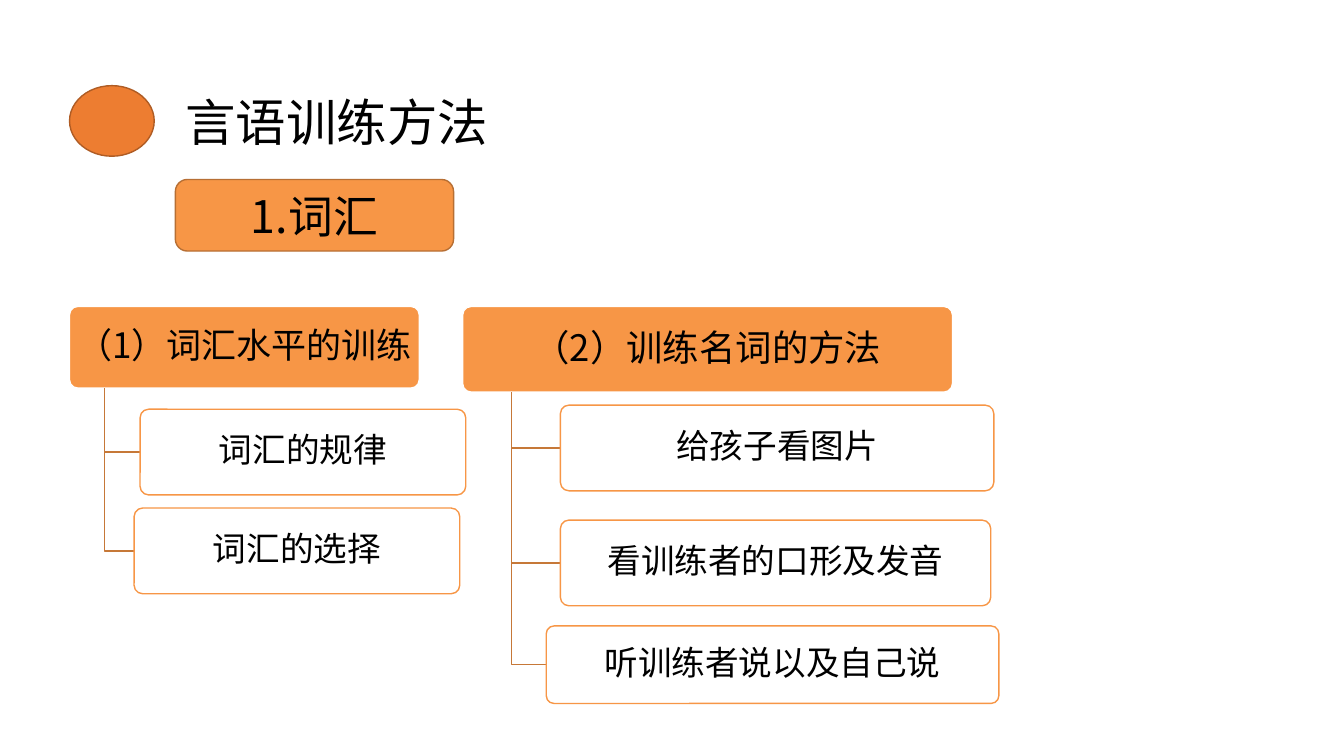
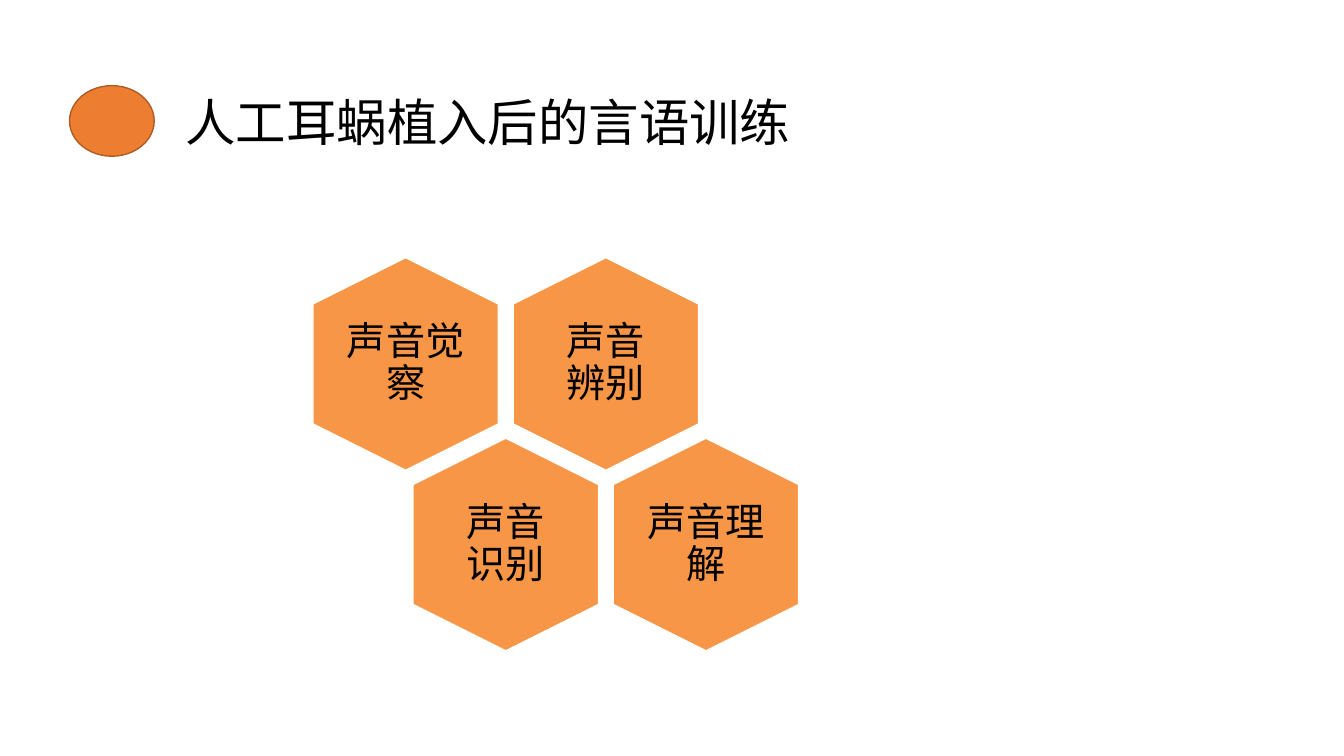
from lxml import etree
from pptx import Presentation
from pptx.dml.color import RGBColor
from pptx.enum.shapes import MSO_SHAPE
from pptx.enum.text import MSO_ANCHOR, MSO_AUTO_SIZE, PP_ALIGN
from pptx.oxml.ns import qn
from pptx.util import Pt

OVAL, ROUNDED, HEXAGON = MSO_SHAPE.OVAL, MSO_SHAPE.ROUNDED_RECTANGLE, MSO_SHAPE.HEXAGON
LEFT, CENTER = PP_ALIGN.LEFT, PP_ALIGN.CENTER
TOP, MIDDLE = MSO_ANCHOR.TOP, MSO_ANCHOR.MIDDLE
FONT = "Noto Sans CJK SC"
BLACK, WHITE, ORANGE = "000000", "FFFFFF", "F79646"
DOT_FILL, DOT_LINE = "ED7D31", "AF5C24"
LABEL_LINE, BRANCH_LINE = "B76F34", "C67838"


def paint(shape, fill, line):
    """Give a shape its fill (None for no fill) and a 1 pt line."""
    shape.shadow.inherit = False
    if fill:
        shape.fill.solid()
        shape.fill.fore_color.rgb = RGBColor.from_string(fill)
    else:
        shape.fill.background()
    shape.line.color.rgb = RGBColor.from_string(line)
    shape.line.width = Pt(1)


def write(shape, text, size, align=CENTER, anchor=MIDDLE, insets=(7.2, 3.6), spacing=0.9):
    """Write one paragraph; insets are horizontal and vertical."""
    frame = shape.text_frame
    frame.word_wrap = True
    frame.auto_size = MSO_AUTO_SIZE.NONE
    frame.vertical_anchor = anchor
    frame.margin_left = frame.margin_right = Pt(insets[0])
    frame.margin_top = frame.margin_bottom = Pt(insets[1])
    paragraph = frame.paragraphs[0]
    paragraph.text = text
    paragraph.alignment = align
    paragraph.line_spacing = spacing
    font = paragraph.font
    font.size = Pt(size)
    font.name = FONT
    font.color.rgb = RGBColor.from_string(BLACK)
    properties = paragraph._p.pPr.find(qn("a:defRPr"))
    etree.SubElement(properties, qn("a:ea")).set("typeface", FONT)


presentation = Presentation()
presentation.slide_width, presentation.slide_height = Pt(960), Pt(540)
title_only = presentation.slide_layouts[5]

# Both slides: orange dot and title
slides = []
for title_text, title_width in [("言语训练方法", 396), ("人工耳蜗植入后的言语训练", 488)]:
    slide = presentation.slides.add_slide(title_only)
    dot = slide.shapes.add_shape(OVAL, Pt(49.7), Pt(61.2), Pt(60.5), Pt(50.4))
    paint(dot, DOT_FILL, DOT_LINE)
    title = slide.shapes.title
    title.left, title.top = Pt(125.3), Pt(61.2)
    title.width, title.height = Pt(title_width), Pt(51.1)
    write(title, title_text, 36, LEFT, TOP, spacing=1.0)
    slides.append(slide)
methods_slide, implant_slide = slides

# Slide 1: section label
label = methods_slide.shapes.add_shape(ROUNDED, Pt(125.3), Pt(128.2), Pt(198.7), Pt(51.1))
paint(label, ORANGE, LABEL_LINE)
write(label, "1.词汇", 32, spacing=1.0)

# Slide 1: two trees, each a header box followed by its child boxes
trees = [
    [("（1）词汇水平的训练", 25, 49.7, 218.9, 249.8, 58.3),
     ("词汇的规律", 24, 100.1, 292.3, 232.6, 61.2),
     ("词汇的选择", 24, 95.8, 362.9, 232.6, 61.2)],
    [("（2）训练名词的方法", 26, 330.5, 218.9, 349.9, 61.2),
     ("给孩子看图片", 24, 400.3, 289.4, 309.6, 61.2),
     ("看训练者的口形及发音", 24, 400.3, 371.5, 307.4, 61.2),
     ("听训练者说以及自己说", 24, 390.2, 447.1, 323.3, 55.4)],
]
for tree in trees:
    header_left, header_top, header_width, header_height = tree[0][2:]
    stem_x = header_left + header_width / 10
    stem_top = header_top + header_height
    for index, (text, size, left, top, width, height) in enumerate(tree):
        is_child = index > 0
        if is_child:
            middle = top + height / 2
            builder = methods_slide.shapes.build_freeform(Pt(stem_x), Pt(stem_top))
            builder.add_line_segments(
                [(Pt(stem_x), Pt(middle)), (Pt(left), Pt(middle))], close=False)
            paint(builder.convert_to_shape(), None, BRANCH_LINE)
        box = methods_slide.shapes.add_shape(ROUNDED, Pt(left), Pt(top), Pt(width), Pt(height))
        box.adjustments[0] = 0.1
        paint(box, WHITE if is_child else ORANGE, ORANGE if is_child else WHITE)
        write(box, text, size, insets=(3.6, 2.4))
        if is_child:
            colour = box._element.spPr.find(qn("a:solidFill"))[0]
            etree.SubElement(colour, qn("a:alpha")).set("val", "90000")

# Slide 2: honeycomb, the second row shifted by half a column
HEX_WIDTH, HEX_HEIGHT = 151.9, 132.5
TEXT_WIDTH, TEXT_HEIGHT = 90.7, 104.4
COLUMN_STEP, ROW_STEP = 143, 129
honeycomb = [
    [("声音觉察", 0), ("声音辨别", 8.6)],
    [("声音识别", 8.6), ("声音理解", 0)],
]
for row, cells in enumerate(honeycomb):
    for column, (text, inset) in enumerate(cells):
        left = 213.8 + (column + row / 2) * COLUMN_STEP
        top = 193.7 + row * ROW_STEP
        cell = implant_slide.shapes.add_shape(
            HEXAGON, Pt(left), Pt(top), Pt(HEX_WIDTH), Pt(HEX_HEIGHT))
        cell.rotation = 90
        cell.adjustments[0] = 0.25
        paint(cell, ORANGE, WHITE)
        caption = implant_slide.shapes.add_textbox(
            Pt(left + (HEX_WIDTH - TEXT_WIDTH) / 2), Pt(top + (HEX_HEIGHT - TEXT_HEIGHT) / 2),
            Pt(TEXT_WIDTH), Pt(TEXT_HEIGHT))
        write(caption, text, 28, insets=(inset, inset))

presentation.save("out.pptx")
